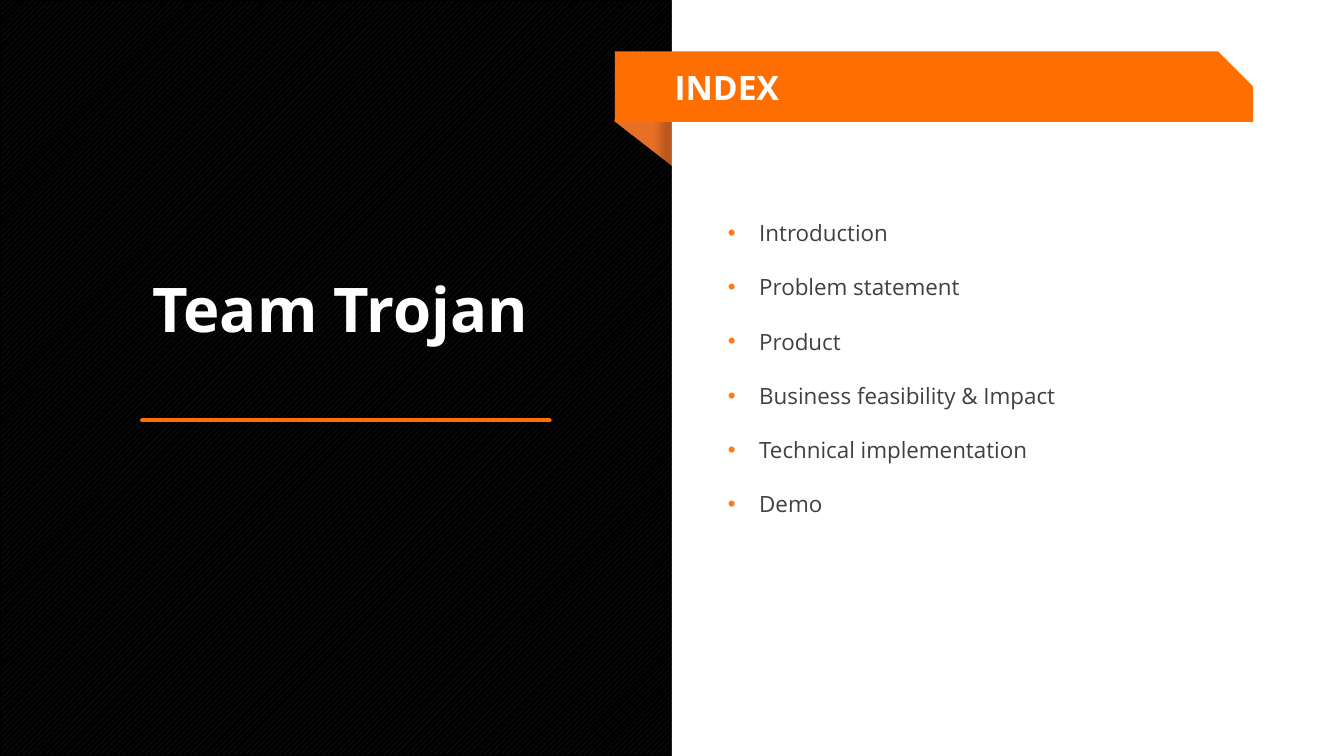
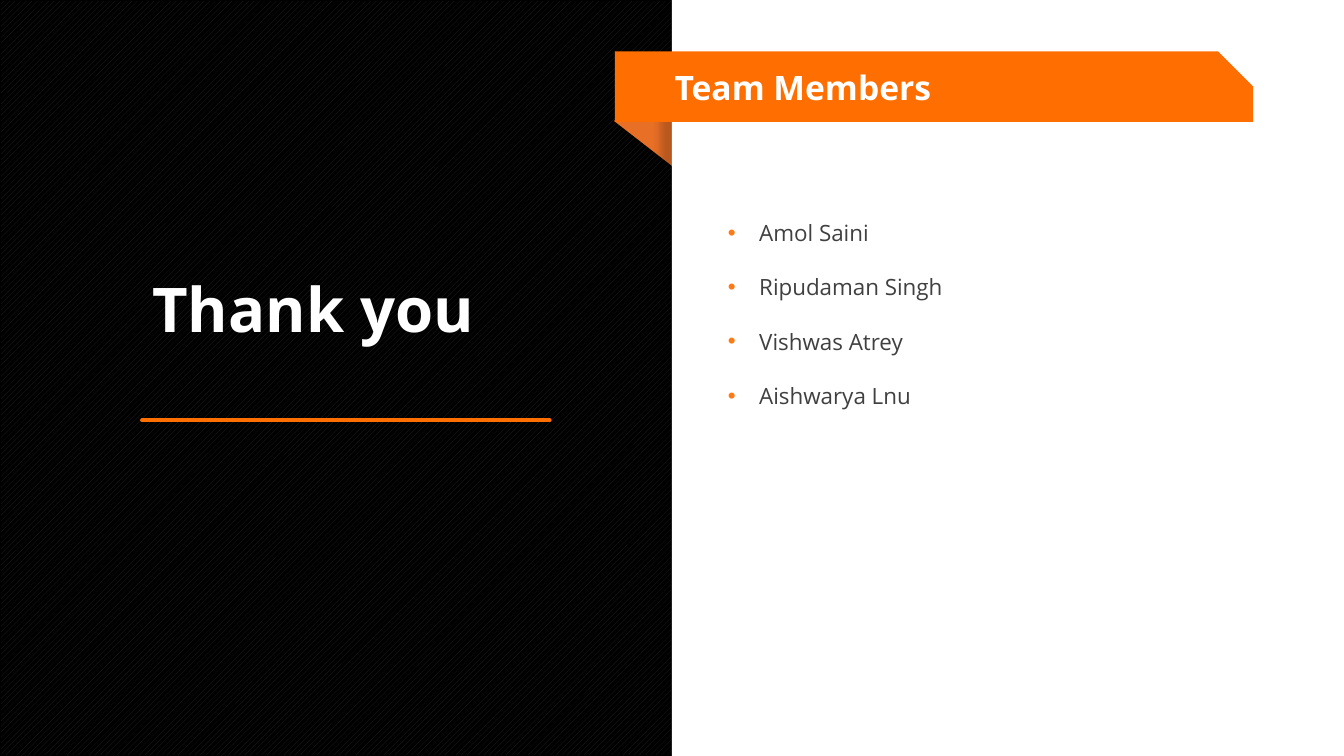
"""Build a two-slide team deck with a dark title panel and a ribbon heading."""
from lxml import etree
from pptx import Presentation
from pptx.dml.color import RGBColor
from pptx.enum.dml import MSO_PATTERN
from pptx.enum.shapes import MSO_CONNECTOR, MSO_SHAPE as Shape
from pptx.enum.text import MSO_ANCHOR as Anchor, MSO_AUTO_SIZE, PP_ALIGN
from pptx.oxml.ns import qn
from pptx.util import Inches, Pt

SLIDES = [
    {
        "title": "Team Trojan",
        "heading": "INDEX",
        "items": [
            "Introduction",
            "Problem statement",
            "Product",
            "Business feasibility & Impact",
            "Technical implementation",
            "Demo",
        ],
    },
    {
        "title": "Thank you",
        "heading": "Team Members",
        "items": ["Amol Saini", "Ripudaman Singh", "Vishwas Atrey", "Aishwarya Lnu"],
    },
]

FONT = "Open Sans"
BLACK, STRIPE, WHITE, GREY = "000000", "262626", "FFFFFF", "404040"
ORANGE, FOLD, BULLET = "FF6E00", "E76F26", "FF7914"
WIDTH, HEIGHT = 13.33, 7.5
HALF = WIDTH / 2
TITLE_LEFT = 1.41
RULE_RIGHT, RULE_TOP = 5.45, 4.17


def color(value):
    return RGBColor.from_string(value)


def add_child(parent, tag, **attributes):
    child = etree.SubElement(parent, qn(tag))
    for name, value in attributes.items():
        child.set(name, str(value))
    return child


def add_box(slide, kind, left, top, width, height, fill=None):
    box = slide.shapes.add_shape(
        kind, Inches(left), Inches(top), Inches(width), Inches(height)
    )
    box.shadow.inherit = False
    box.line.fill.background()
    if fill:
        box.fill.solid()
        box.fill.fore_color.rgb = color(fill)
    return box


def add_bullet(para, indent=0.31):
    properties = para._p.get_or_add_pPr()
    properties.set("marL", str(Inches(indent)))
    properties.set("indent", str(-Inches(indent)))
    add_child(add_child(properties, "a:buClr"), "a:srgbClr", val=BULLET)
    add_child(properties, "a:buFont", typeface="Arial")
    add_child(properties, "a:buChar", char="•")


def write(shape, *lines, size, ink=WHITE, bold=False, anchor=Anchor.MIDDLE,
          spacing=1.0, before=0, bullets=False):
    frame = shape.text_frame
    frame.word_wrap = True
    frame.auto_size = MSO_AUTO_SIZE.NONE
    frame.vertical_anchor = anchor
    for index, line in enumerate(lines):
        para = frame.add_paragraph() if index else frame.paragraphs[0]
        para.alignment = PP_ALIGN.LEFT
        para.line_spacing = spacing
        para.space_before = Pt(before)
        if bullets:
            add_bullet(para)
        span = para.add_run()
        span.text = line
        span.font.name = FONT
        span.font.size = Pt(size)
        span.font.bold = bold
        span.font.color.rgb = color(ink)


def place(shape, left, top, width, height):
    shape.left, shape.top = Inches(left), Inches(top)
    shape.width, shape.height = Inches(width), Inches(height)
    shape._element.getparent().append(shape._element)


def add_dark_panel(slide):
    panel = add_box(slide, Shape.RECTANGLE, 0, 0, HALF, HEIGHT)
    panel.fill.patterned()
    panel.fill.pattern = MSO_PATTERN.WIDE_UPWARD_DIAGONAL
    panel.fill.fore_color.rgb = color(STRIPE)
    panel.fill.back_color.rgb = color(BLACK)
    panel.line.color.rgb = color(BLACK)
    panel.line.width = Pt(1)


def add_rule(slide):
    rule = slide.shapes.add_connector(
        MSO_CONNECTOR.STRAIGHT, Inches(TITLE_LEFT), Inches(RULE_TOP),
        Inches(RULE_RIGHT), Inches(RULE_TOP),
    )
    rule.line.color.rgb = color(ORANGE)
    rule.line.width = Pt(3)
    properties = rule._element.spPr
    properties.find(qn("a:ln")).set("cap", "rnd")
    add_child(properties, "a:effectLst")


def add_white_panel(slide):
    panel = add_box(slide, Shape.RECTANGLE, HALF, 0, HALF, HEIGHT, WHITE)
    effects = panel._element.spPr.find(qn("a:effectLst"))
    shadow = add_child(effects, "a:outerShdw", blurRad=Pt(6), dist=Pt(8),
                       dir=180 * 60000, algn="r", rotWithShape=0)
    add_child(add_child(shadow, "a:srgbClr", val=BLACK), "a:alpha", val=20000)


def add_ribbon(slide, heading):
    ribbon = add_box(slide, Shape.SNIP_ROUND_RECTANGLE, 6.1, 0.51, 6.33, 0.7, ORANGE)
    ribbon.adjustments[0] = 0
    ribbon.adjustments[1] = 0.5
    ribbon.text_frame.margin_left = Inches(0.59)
    write(ribbon, heading, size=24, bold=True)


def add_page(deck, content):
    slide = deck.slides.add_slide(deck.slide_layouts[1])
    title, body = slide.shapes.title, slide.placeholders[1]
    add_dark_panel(slide)
    place(title, TITLE_LEFT, 2.09, 4.26, 1.75)
    write(title, content["title"], size=44, bold=True, spacing=1.25)
    add_rule(slide)
    fold = add_box(slide, Shape.ISOSCELES_TRIANGLE, 5.93, 0.91, 0.9, 0.58, FOLD)
    fold.rotation = 270
    add_white_panel(slide)
    add_ribbon(slide, content["heading"])
    place(body, 7.12, 1.99, 5.84, 4.22)
    write(body, *content["items"], size=16, ink=GREY, anchor=Anchor.TOP,
          spacing=1.5, before=10, bullets=True)


def main():
    deck = Presentation()
    deck.slide_width, deck.slide_height = Inches(WIDTH), Inches(HEIGHT)
    for content in SLIDES:
        add_page(deck, content)
    deck.save("out.pptx")


if __name__ == "__main__":
    main()
